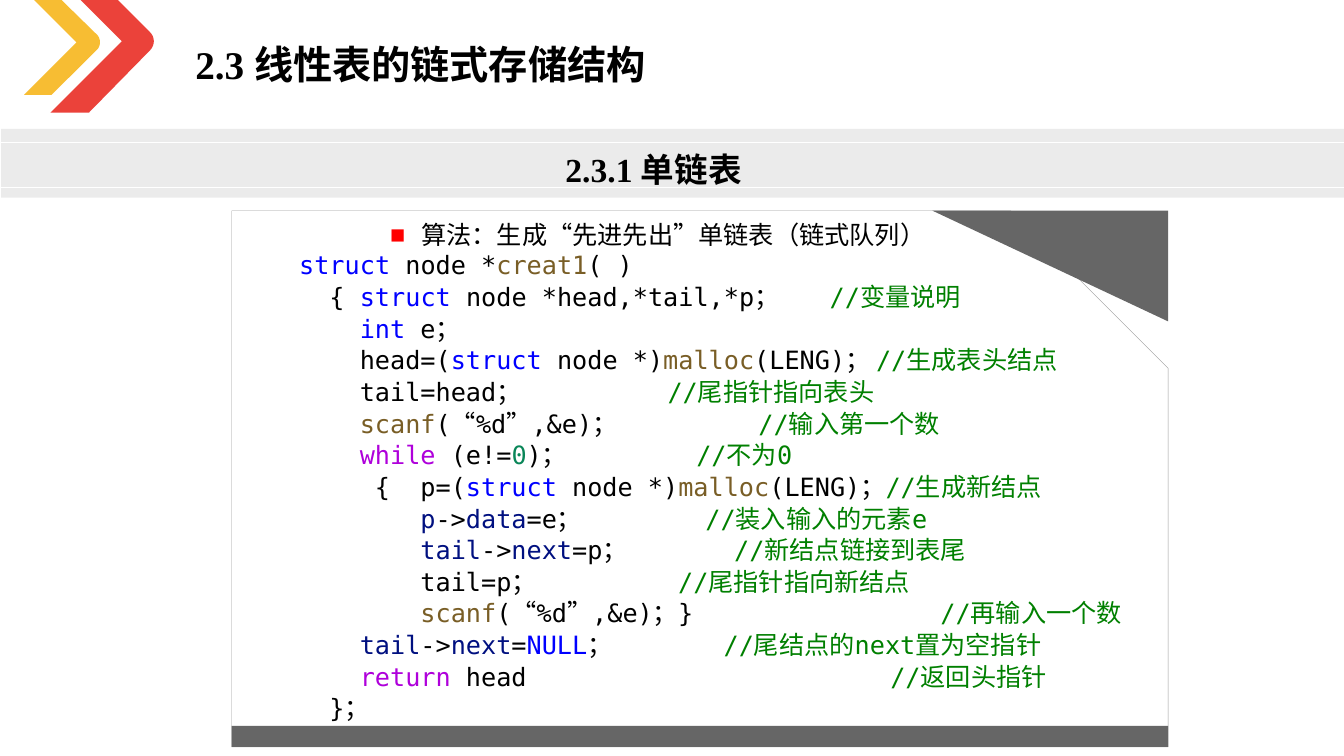
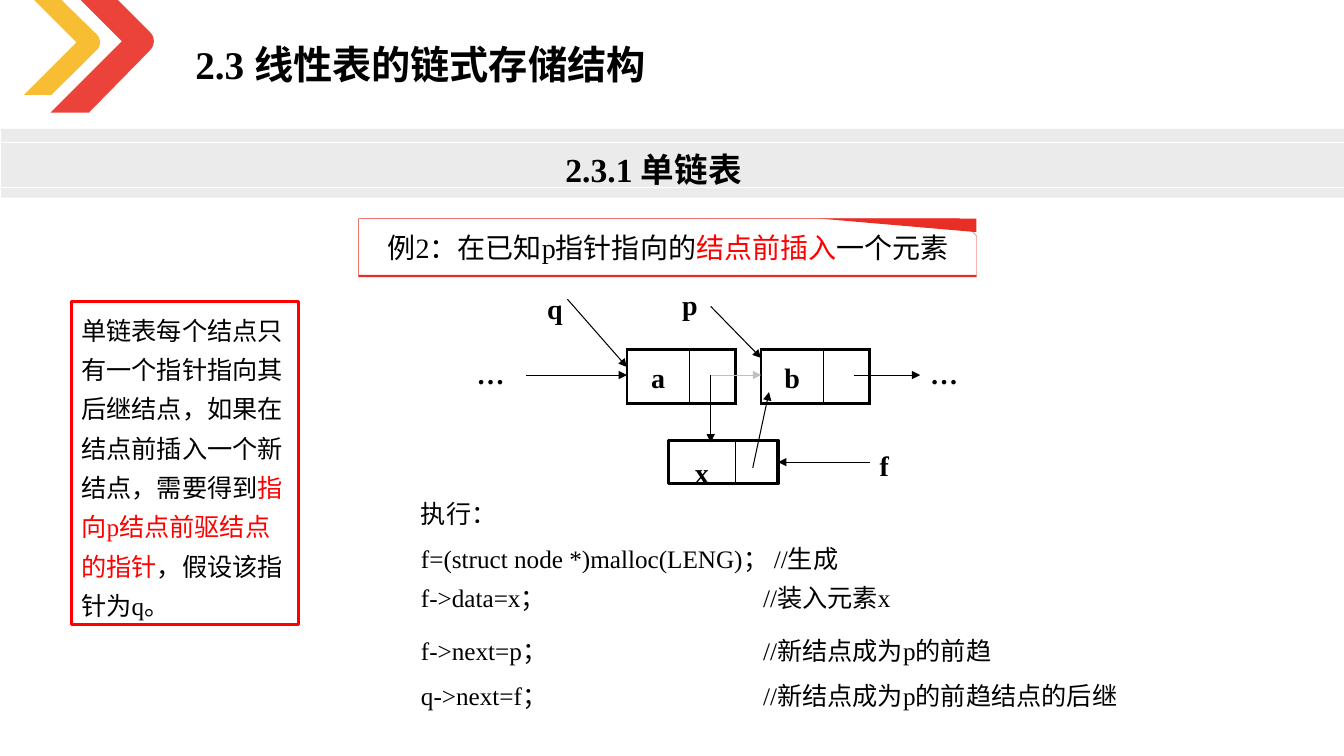
from lxml import etree
from pptx import Presentation
from pptx.dml.color import RGBColor
from pptx.enum.shapes import MSO_CONNECTOR, MSO_SHAPE
from pptx.enum.text import MSO_ANCHOR, MSO_AUTO_SIZE, PP_ALIGN
from pptx.oxml.ns import qn
from pptx.util import Cm, Pt

RECT, SNIP = MSO_SHAPE.RECTANGLE, MSO_SHAPE.SNIP_1_RECTANGLE
STRAIGHT = MSO_CONNECTOR.STRAIGHT
LEFT, CENTER = PP_ALIGN.LEFT, PP_ALIGN.CENTER
TOP, FIXED = MSO_ANCHOR.TOP, MSO_AUTO_SIZE.NONE
TITLE_ONLY = 5

SERIF, MONO = "Times New Roman", "DejaVu Sans Mono"
BLACK, WHITE, RED = "000000", "FFFFFF", "FF0000"
CHEVRON_RED, CHEVRON_YELLOW = "E92E25", "F7B61D"
GREY, PALE_GREY, BAND = "666666", "999999", "404040"
GHOST = "BFBFBF"
# Markup keys: "k:struct| node" is a keyword run followed by a plain run.
RUN_COLOURS = {"k": "0000FF", "f": "795E26", "c": "008000", "w": "AF00DB",
               "v": "001080", "n": "098658", "r": RED}

CODE_COLUMN = 0.382  # width in cm of one character of 18 pt code
# Each line: columns of its tab stops, then its marked-up text.
CODE = [
    ((), "k:struct| node *|f:creat1|( )"),
    ((2, 35), "\t{ |k:struct| node *head,*tail,*p；\t|c://变量说明"),
    ((4,), "\t|k:int| e；"),
    ((4,), "\thead=(|k:struct| node *)|f:malloc|(LENG)； |c://生成表头结点"),
    ((4, 24.3), "\ttail=head；\t|c://尾指针指向表头"),
    ((4, 30.3), "\t|f:scanf|(“%d”,&e)；\t|c://输入第一个数"),
    ((4, 26.2), "\t|w:while| (e!=|n:0|)；\t|c://不为0"),
    ((5, 8), "\t{\tp=(|k:struct| node *)|f:malloc|(LENG)；|c://生成新结点"),
    ((8, 26.8), "\t|v:p|->|v:data|=e；\t|c://装入输入的元素e"),
    ((8, 28.7), "\t|v:tail|->|v:next|=p；\t|c://新结点链接到表尾"),
    ((8, 25), "\ttail=p；\t|c://尾指针指向新结点"),
    ((8, 42.3), "\t|f:scanf|(“%d”,&e)；}\t|c://再输入一个数"),
    ((4, 28), "\t|v:tail|->|v:next|=|k:NULL|；\t|c://尾结点的next置为空指针"),
    ((4, 39), "\t|w:return| head\t|c://返回头指针"),
    ((2,), "\t}；"),
]
COMMENT_STOP = 8.62
STEPS = [
    (12.42, 1, ["执行："]),
    (13.34, 1.3, ["f=(struct node *)malloc(LENG)； //生成",
                  "f->data=x；\t//装入元素x"]),
    (15.65, 1.3, ["f->next=p；\t//新结点成为p的前趋"]),
    (16.79, 1.3, ["q->next=f；\t//新结点成为p的前趋结点的后继"]),
]


def rgb(colour):
    return RGBColor.from_string(colour)


def cms(*lengths):
    return [Cm(length) for length in lengths]


def paint(shape, fill=None, line=None, width=0.25, opacity=None):
    shape.shadow.inherit = False
    if fill:
        shape.fill.solid()
        shape.fill.fore_color.rgb = rgb(fill)
        if opacity:
            clr = shape.element.spPr.find(".//" + qn("a:srgbClr"))
            etree.SubElement(clr, qn("a:alpha"), val=str(opacity * 1000))
    else:
        shape.fill.background()
    if line:
        shape.line.color.rgb = rgb(line)
        shape.line.width = Pt(width)
    else:
        shape.line.fill.background()
    return shape


def block(slide, kind, box, **look):
    return paint(slide.shapes.add_shape(kind, *cms(*box)), **look)


def polygon(slide, points, **look):
    corners = [tuple(cms(*point)) for point in points]
    builder = slide.shapes.build_freeform(*corners[0])
    builder.add_line_segments(corners[1:], close=True)
    return paint(builder.convert_to_shape(), **look)


def bezier(a, b, c, d, steps=8):
    """Points along a cubic curve."""
    curve = []
    for t in (i / steps for i in range(steps + 1)):
        weights = (1 - t) ** 3, 3 * t * (1 - t) ** 2, 3 * t * t * (1 - t), t ** 3
        curve.append(tuple(sum(w * p[axis] for w, p in zip(weights, (a, b, c, d)))
                           for axis in (0, 1)))
    return curve


def connect(slide, start, end, colour=BLACK, width=0.75, arrow=True):
    line = slide.shapes.add_connector(STRAIGHT, *cms(*start, *end))
    line.line.color.rgb = rgb(colour)
    line.line.width = Pt(width)
    if arrow:
        etree.SubElement(line.line._get_or_add_ln(), qn("a:tailEnd"), type="triangle")
    etree.SubElement(line.element.spPr, qn("a:effectLst"))
    return line


def write(paragraph, markup, size, font=SERIF, bold=False, spacing=1.3,
          align=LEFT, tabs=(), bullet=None):
    """Fill a paragraph from markup; tabs are in cm, bullet is an indent in cm."""
    props = paragraph._p.get_or_add_pPr()
    if bullet:
        props.set("marL", str(Cm(bullet)))
        props.set("indent", str(-Cm(bullet)))
        colour = etree.SubElement(props, qn("a:buClr"))
        etree.SubElement(colour, qn("a:srgbClr"), val=RED)
        etree.SubElement(props, qn("a:buFont"), typeface=SERIF)
        etree.SubElement(props, qn("a:buChar"), char="■")
    if tabs:
        stops = etree.SubElement(props, qn("a:tabLst"))
        for stop in tabs:
            etree.SubElement(stops, qn("a:tab"), pos=str(Cm(stop)), algn="l")
    paragraph.alignment = align
    if spacing != 1:
        paragraph.line_spacing = spacing
    paragraph.font.name = font
    paragraph.font.size = Pt(size)
    paragraph.font.bold = bold
    paragraph.font.color.rgb = rgb(BLACK)
    for piece in markup.split("|"):
        run = paragraph.add_run()
        marked = piece[1:2] == ":" and piece[0] in RUN_COLOURS
        run.text = piece[2:] if marked else piece
        run.font.color.rgb = rgb(RUN_COLOURS[piece[0]] if marked else BLACK)


def text(slide, box, lines, size, **style):
    frame = slide.shapes.add_textbox(*cms(*box)).text_frame
    frame.word_wrap = True
    for i, markup in enumerate(lines):
        paragraph = frame.add_paragraph() if i else frame.paragraphs[0]
        write(paragraph, markup, size, **style)
    return frame


def label(slide, left, top, word, align=LEFT):
    text(slide, (left, top, 1.7, 1.24), [word], 20, bold=True, align=align)


def chevrons(slide):
    red = [(1.27, 2.84), (2.24, 2.84),
           *bezier((3.78, 1.27), (3.91, 1.14), (3.91, 0.94), (3.78, 0.81)),
           (2.97, 0), (2.03, 0), (3.07, 1.04)]
    yellow = [(0.61, 2.39), (1.3, 2.39),
              *bezier((2.46, 1.24), (2.54, 1.14), (2.54, 0.99), (2.46, 0.89)),
              (1.55, 0), (0.86, 0), (1.93, 1.07)]
    polygon(slide, red, fill=CHEVRON_RED, opacity=90)
    polygon(slide, yellow, fill=CHEVRON_YELLOW, opacity=90)


def section_band(slide, left, top, width, height):
    block(slide, RECT, (left, top, width, height), fill=BAND, opacity=10)
    for offset in (0.33, 1.47):
        connect(slide, (left, top + offset), (left + width, top + offset),
                WHITE, 0.5, arrow=False)
    text(slide, (1.42, top + 0.08, 30.1, 1.45), ["2.3.1 单链表"], 24,
         bold=True, align=CENTER)


def new_slide(deck):
    """Slide with the shared title, chevrons and section band."""
    slide = deck.slides.add_slide(deck.slide_layouts[TITLE_ONLY])
    title = slide.shapes.title
    title.left, title.top, title.width, title.height = cms(4.67, 0.53, 17.12, 1.65)
    frame = title.text_frame
    frame.word_wrap, frame.auto_size, frame.vertical_anchor = True, FIXED, TOP
    write(frame.paragraphs[0], "2.3 线性表的链式存储结构", 28, bold=True)
    section_band(slide, 0.03, 3.25, 33.86, 1.73)
    chevrons(slide)
    return slide


def card(slide, box, accent, outline, bar, wedge):
    """Outlined card with a bar along its foot and a wedge at its top right."""
    left, top, width, height = box
    right, bottom = left + width, top + height
    frame = block(slide, SNIP, box, fill=WHITE, line=outline)
    frame.adjustments[0] = 0.294
    block(slide, RECT, (left, bottom - bar, width, bar), fill=accent)
    polygon(slide, [(right, top), (right - wedge[0], top), (right, top + wedge[1])],
            fill=accent)


def code_listing(slide, left, top, width, height):
    card(slide, (left, top, width, height), GREY, PALE_GREY, 0.53, (5.94, 2.79))
    text(slide, (left + 3.74, top - 0.13, 18.44, 1.17),
         ["算法：生成“先进先出”单链表（链式队列）"], 18, bullet=0.79)
    frame = text(slide, (left + 1.45, top + 0.86, width - 1.45, 12.29), [], 18)
    for i, (columns, markup) in enumerate(CODE):
        paragraph = frame.add_paragraph() if i else frame.paragraphs[0]
        write(paragraph, markup, 18, font=MONO, spacing=1,
              tabs=[column * CODE_COLUMN for column in columns])
        paragraph.space_before = Pt(1)


def list_node(slide, left, top, name):
    """One-row table: a data cell and a pointer cell."""
    columns, row = (1.57, 1.17), 1.2
    table = slide.shapes.add_table(1, 2, *cms(left, top, sum(columns), row)).table
    table.first_row = table.horz_banding = False
    for i, width in enumerate(columns):
        table.columns[i].width = Cm(width)
        cell = table.cell(0, i)
        inner = "R" if i == 0 else "L"
        props = cell._tc.get_or_add_tcPr()
        for side in "LRTB":
            edge = etree.SubElement(props, qn("a:ln" + side),
                                    w=str(Pt(1 if side == inner else 2.25)))
            solid = etree.SubElement(edge, qn("a:solidFill"))
            etree.SubElement(solid, qn("a:srgbClr"), val=BLACK)
        cell.fill.background()
    write(table.cell(0, 0).text_frame.paragraphs[0], name, 20, bold=True, align=CENTER)


def inserted_node(slide, left, top):
    """The new node x with the pointer f that refers to it."""
    width, height, data = 2.77, 1.09, 1.7
    node = block(slide, RECT, (left, top, width, height), line=BLACK, width=2.25)
    connect(slide, (left + data, top), (left + data, top + height), width=1, arrow=False)
    label(slide, left, top, "x", CENTER)
    label(slide, left + 5.08, top - 0.18, "f")
    middle = top + height / 2
    pointer = connect(slide, (left + 5.08, middle), (left + width, middle))
    pointer.end_connect(node, 3)


def insertion_diagram(slide, left, top):
    """Linked list a, b with x inserted between; left and top are those of node a."""
    axis = top + 0.64
    list_node(slide, left, top, "a")
    list_node(slide, left + 3.38, top, "b")
    for x, y, word in ((1.14, -1.95, "p"), (-2.26, -1.85, "q"),
                       (-4.04, -0.2, "…"), (7.39, -0.2, "…")):
        label(slide, left + x, top + y, word)
    inserted_node(slide, left + 1.04, top + 2.29)
    connect(slide, (left - 2.54, axis), (left, axis))
    connect(slide, (left + 5.71, axis), (left + 7.39, axis))
    connect(slide, (left + 2.11, top - 1.09), (left + 3.38, top + 0.21))
    connect(slide, (left - 1.5, top - 1.27), (left, top + 0.44))
    connect(slide, (left + 3.17, top + 2.98), (left + 3.58, top + 1.07))
    connect(slide, (left + 2.11, axis), (left + 2.11, top + 2.34))
    connect(slide, (left + 2.11, axis), (left + 3.38, axis), GHOST)


def side_note(slide, box):
    note = block(slide, RECT, box, line=RED, width=2.25)
    frame = note.text_frame
    frame.word_wrap, frame.vertical_anchor = True, TOP
    write(frame.paragraphs[0],
          "单链表每个结点只有一个指针指向其后继结点，如果在结点前插入一个新结点，需要得到"
          "|r:指向p结点前驱结点的指针|，假设该指针为q。", 18)


def example_heading(slide, left, top, width, height):
    card(slide, (left, top, width, height), CHEVRON_RED, CHEVRON_RED, 0.05, (3.94, 0.34))
    text(slide, (left + 0.48, top - 0.07, 16, 1.75),
         ["例2：在已知p指针指向的|r:结点前插入|一个元素"], 20)


def steps(slide, left, width):
    for top, spacing, lines in STEPS:
        text(slide, (left, top, width, 1.1 * len(lines)), lines, 18,
             spacing=spacing, tabs=[COMMENT_STOP])


def main():
    deck = Presentation()
    deck.slide_width, deck.slide_height = cms(33.87, 19.05)
    code_listing(new_slide(deck), 5.84, 5.31, 23.6, 13.51)
    insertion = new_slide(deck)
    example_heading(insertion, 9.04, 5.51, 15.57, 1.47)
    insertion_diagram(insertion, 15.8, 8.81)
    steps(insertion, 10.36, 23.5)
    side_note(insertion, (1.8, 7.59, 5.72, 8.15))
    deck.save("out.pptx")


if __name__ == "__main__":
    main()
